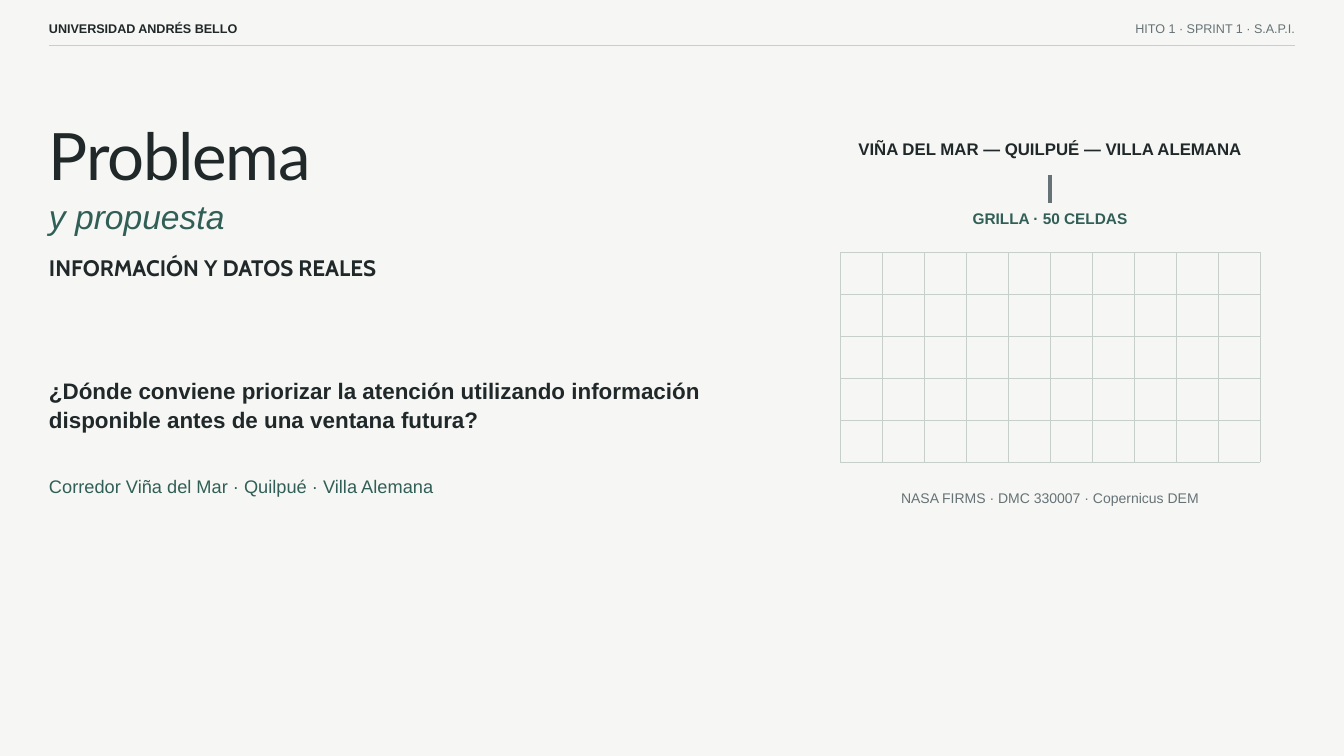
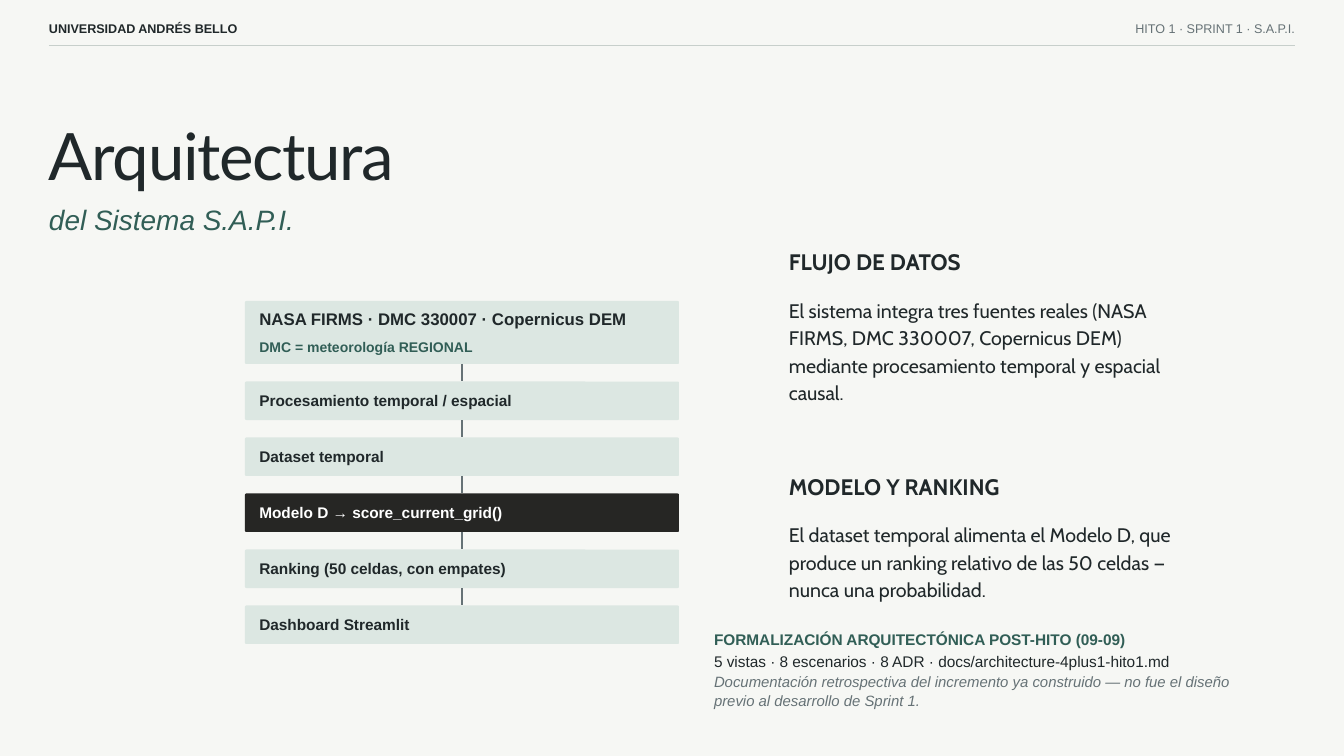
from lxml import etree
from pptx import Presentation
from pptx.dml.color import RGBColor
from pptx.enum.shapes import MSO_CONNECTOR, MSO_SHAPE
from pptx.enum.text import MSO_ANCHOR, MSO_AUTO_SIZE, PP_ALIGN
from pptx.oxml.ns import qn
from pptx.util import Emu, Pt

EMU_PER_PX = 9525
INK, GREEN, GRAY, RULE = "20282A", "315E56", "667276", "C7CFCB"
PAPER, MINT, BLACK, WHITE = "F6F7F4", "DCE7E2", "262624", "FFFFFF"
MARGIN, RIGHT_EDGE, COLUMN_WIDTH = 70, 1850, 1025
SOURCES = "NASA FIRMS · DMC 330007 · Copernicus DEM"


def px(length):
    return Emu(round(length * EMU_PER_PX))


def color(hex_code):
    return RGBColor.from_string(hex_code)


class Deck:
    """Holds the shared style and the slide being drawn."""

    def __init__(self):
        self.presentation = Presentation()
        self.presentation.slide_width = px(1920)
        self.presentation.slide_height = px(1080)
        self.slide = None

    def new_slide(self, title, subtitle, subtitle_top, subtitle_size):
        self.slide = self.presentation.slides.add_slide(self.presentation.slide_layouts[6])
        self.slide.background.fill.solid()
        self.slide.background.fill.fore_color.rgb = color(PAPER)
        self.line(MARGIN, 65, RIGHT_EDGE, 65)
        self.text("UNIVERSIDAD ANDRÉS BELLO", MARGIN, 26, 500, 25, 13.5, bold=True)
        self.text("HITO 1 · SPRINT 1 · S.A.P.I.", RIGHT_EDGE - 500, 26, 500, 25, 13.5,
                  fill=GRAY, align=PP_ALIGN.RIGHT)
        heading = self.text(title, MARGIN, 164, COLUMN_WIDTH, 111, 70,
                            font="Lato", leading=84)
        heading.paragraphs[0].runs[0]._r.get_or_add_rPr().set("spc", "-140")
        self.text(subtitle, MARGIN, subtitle_top, COLUMN_WIDTH, 60, subtitle_size,
                  fill=GREEN, italic=True)

    def fill_paragraph(self, paragraph, text, size, fill=INK, font="Arial", bold=False,
                       italic=False, align=PP_ALIGN.LEFT, leading=None):
        """Set text and style; the line height is 1.4 times the size unless given."""
        paragraph.text = text
        paragraph.alignment = align
        paragraph.line_spacing = Pt(leading or size * 1.4)
        paragraph.font.name = font
        paragraph.font.size = Pt(size)
        paragraph.font.bold = bold
        paragraph.font.italic = italic
        paragraph.font.color.rgb = color(fill)

    def text(self, text, left, top, width, height, size, **style):
        shape = self.slide.shapes.add_textbox(px(left), px(top), px(width), px(height))
        frame = shape.text_frame
        frame.word_wrap = True
        frame.auto_size = MSO_AUTO_SIZE.SHAPE_TO_FIT_TEXT
        frame.margin_left = frame.margin_right = 0
        frame.margin_top = frame.margin_bottom = 0
        self.fill_paragraph(frame.paragraphs[0], text, size, **style)
        return frame

    def more_text(self, frame, text, size, space_before=0, **style):
        paragraph = frame.add_paragraph()
        self.fill_paragraph(paragraph, text, size, **style)
        paragraph.space_before = Pt(space_before)

    def line(self, x1, y1, x2, y2, fill=RULE, thickness=2):
        connector = self.slide.shapes.add_connector(
            MSO_CONNECTOR.STRAIGHT, px(x1), px(y1), px(x2), px(y2))
        connector.line.color.rgb = color(fill)
        connector.line.width = px(thickness)
        etree.SubElement(connector._element.spPr, qn("a:effectLst"))

    def box(self, text, left, top, width, height, size, inset, fill=MINT, ink=INK):
        shape = self.slide.shapes.add_shape(
            MSO_SHAPE.ROUNDED_RECTANGLE, px(left), px(top), px(width), px(height))
        shape.adjustments[0] = 2 / height
        shape.shadow.inherit = False
        shape.fill.solid()
        shape.fill.fore_color.rgb = color(fill)
        shape.line.fill.background()
        frame = shape.text_frame
        frame.word_wrap = True
        frame.vertical_anchor = MSO_ANCHOR.TOP
        frame.margin_left = frame.margin_right = px(20)
        frame.margin_top, frame.margin_bottom = px(inset), 0
        self.fill_paragraph(frame.paragraphs[0], text, size, fill=ink, bold=True)
        return frame


def problem_slide(deck):
    deck.new_slide("Problema", "y propuesta", 270, 36)
    deck.text("INFORMACIÓN Y DATOS REALES", MARGIN, 356, COLUMN_WIDTH, 41, 24,
              font="Cabin", bold=True)
    deck.text("¿Dónde conviene priorizar la atención utilizando información "
              "disponible antes de una ventana futura?",
              MARGIN, 536, COLUMN_WIDTH, 83, 24, bold=True, leading=31.2)
    deck.text("Corredor Viña del Mar · Quilpué · Villa Alemana",
              MARGIN, 674, COLUMN_WIDTH, 36, 19.5, fill=GREEN)

    captions = [
        ("VIÑA DEL MAR — QUILPUÉ — VILLA ALEMANA", 194, 35, 18, INK, True),
        ("GRILLA · 50 CELDAS", 294, 32, 16.5, GREEN, True),
        (SOURCES, 695, 29, 15, GRAY, False),
    ]
    for caption, top, height, size, fill, bold in captions:
        deck.text(caption, 1150, top, 700, height, size, fill=fill, bold=bold,
                  align=PP_ALIGN.CENTER)
    deck.line(1500, 250, 1500, 290, GRAY, 6)

    left, top, cell, columns, rows = 1200, 360, 60, 10, 5
    for column in range(columns + 1):
        x = left + column * cell + 1
        deck.line(x, top, x, top + rows * cell)
    for row in range(rows + 1):
        y = top + row * cell + 1
        deck.line(left, y, left + columns * cell, y)


def architecture_slide(deck):
    deck.new_slide("Arquitectura", "del Sistema S.A.P.I.", 282, 30)

    left, width, gap, step_height = 350, 620, 25, 55
    center = left + width // 2
    sources = deck.box(SOURCES, left, 430, width, 90, 18, inset=6)
    deck.more_text(sources, "DMC = meteorología REGIONAL", 15, space_before=7.5,
                   fill=GREEN, bold=True)
    bottom = 520
    steps = [
        ("Procesamiento temporal / espacial", MINT, INK),
        ("Dataset temporal", MINT, INK),
        ("Modelo D → score_current_grid()", BLACK, WHITE),
        ("Ranking (50 celdas, con empates)", MINT, INK),
        ("Dashboard Streamlit", MINT, INK),
    ]
    for label, fill, ink in steps:
        top = bottom + gap
        deck.line(center, bottom, center, top, GRAY, 4)
        deck.box(label, left, top, width, step_height, 16.5, 9, fill, ink)
        bottom = top + step_height

    explanations = [
        ("FLUJO DE DATOS",
         "El sistema integra tres fuentes reales (NASA FIRMS, DMC 330007, Copernicus DEM) "
         "mediante procesamiento temporal y espacial causal.", 153),
        ("MODELO Y RANKING",
         "El dataset temporal alimenta el Modelo D, que produce un ranking relativo "
         "de las 50 celdas — nunca una probabilidad.", 114),
    ]
    for index, (heading, body, height) in enumerate(explanations):
        top = 348 + index * 321
        deck.text(heading, 1127, top, 572, 41, 24, font="Cabin", bold=True)
        deck.text(body, 1127, top + 73, 572, height, 21, font="Cabin")

    deck.text("FORMALIZACIÓN ARQUITECTÓNICA POST-HITO (09-09)", 1020, 898, 800, 36, 16.5,
              fill=GREEN, bold=True, leading=21)
    views = deck.text("5 vistas · 8 escenarios · 8 ADR · docs/architecture-4plus1-hito1.md",
                      1020, 930, 800, 94, 16.5, leading=21)
    deck.more_text(views, "Documentación retrospectiva del incremento ya construido — "
                   "no fue el diseño previo al desarrollo de Sprint 1.", 16,
                   fill=GRAY, italic=True, leading=21)


def main():
    deck = Deck()
    problem_slide(deck)
    architecture_slide(deck)
    deck.presentation.save("out.pptx")


if __name__ == "__main__":
    main()
